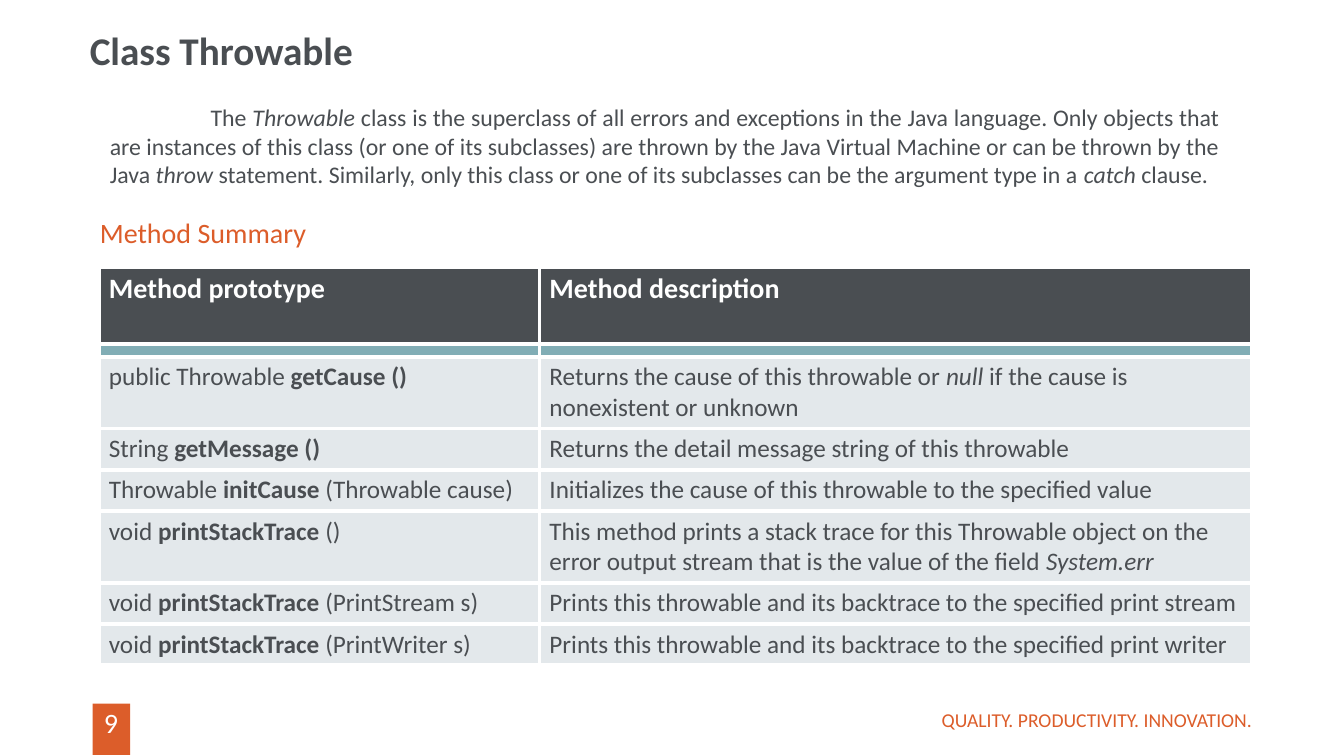
from dataclasses import dataclass

from lxml.etree import SubElement
from pptx import Presentation
from pptx.dml.color import RGBColor
from pptx.enum.shapes import MSO_SHAPE
from pptx.enum.text import MSO_ANCHOR, PP_ALIGN
from pptx.oxml.ns import qn
from pptx.util import Emu, Pt

PX = 9144
FONT = "Calibri"
WHITE = RGBColor(0xFF, 0xFF, 0xFF)
SLATE = RGBColor(0x4A, 0x4E, 0x52)
ORANGE = RGBColor(0xDC, 0x5D, 0x2A)
TEAL = RGBColor(0x81, 0xAD, 0xB5)
MIST = RGBColor(0xE3, 0xE8, 0xEB)


@dataclass(frozen=True)
class Span:
    text: str
    bold: bool = False
    italic: bool = False


@dataclass(frozen=True)
class Label:
    box: tuple[int, int, int, int]
    spans: tuple[Span, ...]
    size: int
    color: RGBColor
    align: PP_ALIGN = PP_ALIGN.LEFT
    anchor: MSO_ANCHOR = MSO_ANCHOR.TOP
    insets: tuple[int, int, int, int] = (0, 0, 0, 0)
    line_spacing: float = 1.0
    first_indent: int = 0


@dataclass(frozen=True)
class Row:
    height: int
    prototype: tuple[Span, ...]
    description: tuple[Span, ...]
    fill: RGBColor = MIST
    size: int = 18
    color: RGBColor = SLATE


LABELS = (
    Label((89, 26, 931, 49), (Span("Class Throwable", bold=True),), 28, SLATE,
          insets=(0, 5, 10, 5), line_spacing=0.9),
    Label((99, 97, 1121, 97), (
        Span("The "),
        Span("Throwable", italic=True),
        Span(" class is the superclass of all errors and exceptions in the Java language. "
             "Only objects that are instances of this class (or one of its subclasses) are "
             "thrown by the Java Virtual Machine or can be thrown by the Java "),
        Span("throw", italic=True),
        Span(" statement. Similarly, only this class or one of its subclasses can be the "
             "argument type in a "),
        Span("catch", italic=True),
        Span(" clause."),
    ), 17, SLATE, PP_ALIGN.JUSTIFY, insets=(10, 5, 10, 5), first_indent=100),
    Label((99, 214, 307, 34), (Span("Method Summary"),), 20, ORANGE),
    Label((86, 700, 48, 34), (Span("9"),), 20, WHITE, PP_ALIGN.CENTER),
    Label((835, 694, 407, 40), (Span("QUALITY. PRODUCTIVITY. INNOVATION."),), 14, ORANGE,
          PP_ALIGN.RIGHT, MSO_ANCHOR.MIDDLE),
)

PAGE_MARKER = (92, 698, 37, 51)
TABLE_ORIGIN = (98, 265)
COLUMN_WIDTHS = (437, 707)
SINGLE_LINE, DOUBLE_LINE = 41, 71

ROWS = (
    Row(76, (Span("Method prototype", bold=True),),
        (Span("Method description", bold=True),), SLATE, 20, WHITE),
    Row(13, (), (), TEAL),
    Row(DOUBLE_LINE, (Span("public Throwable "), Span("getCause ()", bold=True)),
        (Span("Returns the cause of this throwable or "), Span("null", italic=True),
         Span(" if the cause is nonexistent or unknown"))),
    Row(SINGLE_LINE, (Span("String "), Span("getMessage ()", bold=True)),
        (Span("Returns the detail message string of this throwable"),)),
    Row(SINGLE_LINE,
        (Span("Throwable "), Span("initCause ", bold=True), Span("(Throwable cause)")),
        (Span("Initializes the cause of this throwable to the specified value"),)),
    Row(DOUBLE_LINE, (Span("void "), Span("printStackTrace ", bold=True), Span("()")),
        (Span("This method prints a stack trace for this Throwable object on the error "
              "output stream that is the value of the field "),
         Span("System.err", italic=True))),
    *(Row(SINGLE_LINE,
          (Span("void "), Span("printStackTrace ", bold=True), Span(f"({kind} s)")),
          (Span(f"Prints this throwable and its backtrace to the specified {target}"),))
      for kind, target in (("PrintStream", "print stream"), ("PrintWriter", "print writer"))),
)


def px(*lengths: int) -> list[Emu]:
    return [Emu(length * PX) for length in lengths]


def write_spans(paragraph, spans: tuple[Span, ...], size: int, color: RGBColor) -> None:
    for span in spans:
        run = paragraph.add_run()
        run.text = span.text
        run.font.name = FONT
        run.font.size = Pt(size)
        run.font.bold = span.bold
        run.font.italic = span.italic
        run.font.color.rgb = color


def set_margins(target, insets: tuple[int, int, int, int]) -> None:
    (target.margin_left, target.margin_top,
     target.margin_right, target.margin_bottom) = px(*insets)


def draw_label(slide, label: Label) -> None:
    text_frame = slide.shapes.add_textbox(*px(*label.box)).text_frame
    text_frame.word_wrap = True
    text_frame.vertical_anchor = label.anchor
    set_margins(text_frame, label.insets)
    paragraph = text_frame.paragraphs[0]
    paragraph.alignment = label.align
    paragraph.line_spacing = label.line_spacing
    if label.first_indent:
        paragraph._p.get_or_add_pPr().set("indent", str(label.first_indent * PX))
    write_spans(paragraph, label.spans, label.size, label.color)


def draw_page_marker(slide) -> None:
    shape = slide.shapes.add_shape(MSO_SHAPE.RECTANGLE, *px(*PAGE_MARKER))
    shape.shadow.inherit = False
    shape.fill.solid()
    shape.fill.fore_color.rgb = ORANGE
    shape.line.fill.background()


def add_borders(cell) -> None:
    properties = cell._tc.get_or_add_tcPr()
    for side in ("lnL", "lnR", "lnT", "lnB"):
        line = SubElement(properties, qn(f"a:{side}"), w=str(Pt(3)))
        fill = SubElement(line, qn("a:solidFill"))
        SubElement(fill, qn("a:srgbClr"), val=str(WHITE))


def draw_cell(cell, row: Row, spans: tuple[Span, ...]) -> None:
    add_borders(cell)
    cell.fill.solid()
    cell.fill.fore_color.rgb = row.fill
    paragraph = cell.text_frame.paragraphs[0]
    if spans:
        set_margins(cell, (10, 5, 10, 5))
        write_spans(paragraph, spans, row.size, row.color)
    else:
        set_margins(cell, (0, 0, 0, 0))
        SubElement(paragraph._p, qn("a:endParaRPr"), sz="100")


def draw_methods(slide) -> None:
    size = px(sum(COLUMN_WIDTHS), sum(row.height for row in ROWS))
    table = slide.shapes.add_table(
        len(ROWS), len(COLUMN_WIDTHS), *px(*TABLE_ORIGIN), *size).table
    table.first_row = False
    table.horz_banding = False
    for column, width in zip(table.columns, COLUMN_WIDTHS):
        column.width = Emu(width * PX)
    for table_row, row in zip(table.rows, ROWS):
        table_row.height = Emu(row.height * PX)
        for cell, spans in zip(table_row.cells, (row.prototype, row.description)):
            draw_cell(cell, row, spans)


def main() -> None:
    presentation = Presentation()
    presentation.slide_width, presentation.slide_height = px(1333, 750)
    slide = presentation.slides.add_slide(presentation.slide_layouts[6])
    draw_page_marker(slide)
    draw_methods(slide)
    for label in LABELS:
        draw_label(slide, label)
    presentation.save("out.pptx")


if __name__ == "__main__":
    main()
